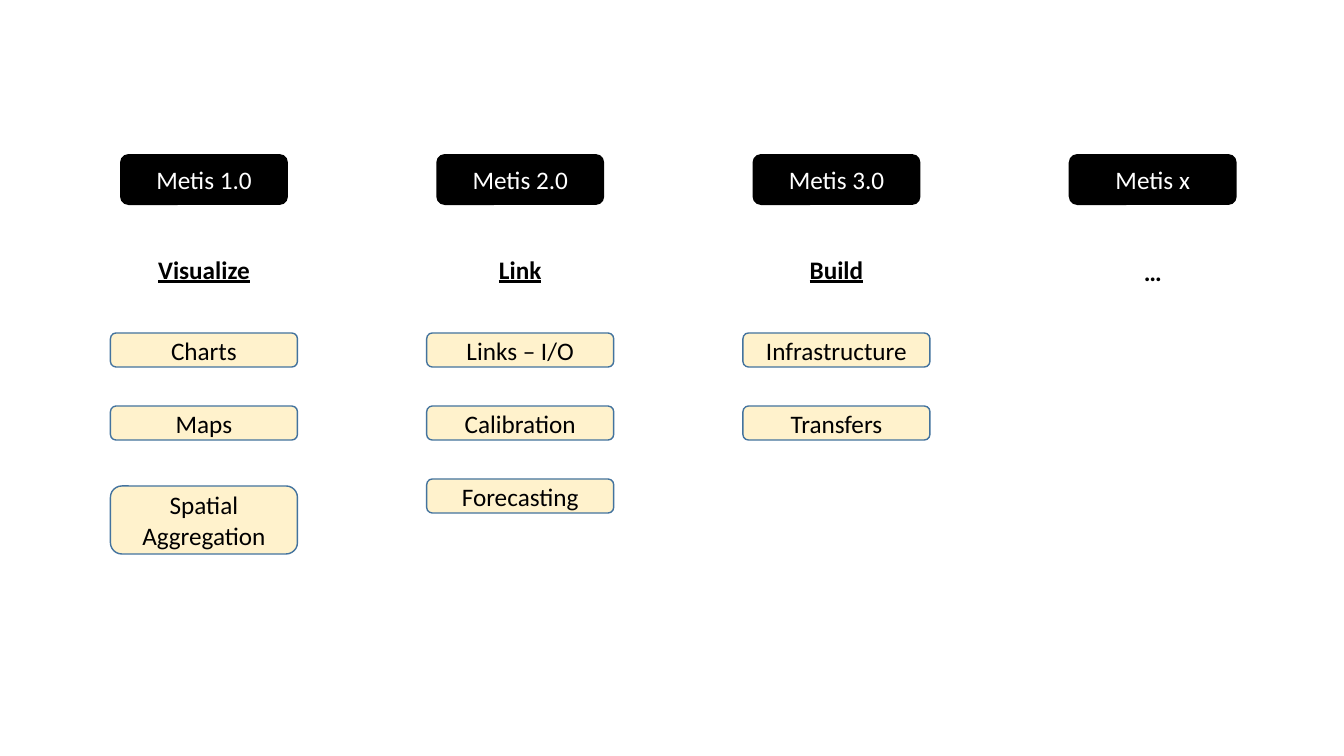
import pptx
import pptx.dml.color
import pptx.enum.shapes
import pptx.enum.text
import pptx.util

# version, heading, heading top, heading underlined, features
COLUMNS = [
    ("Metis 1.0", "Visualize", 255, True, ["Charts", "Maps", "Spatial Aggregation"]),
    ("Metis 2.0", "Link", 255, True, ["Links – I/O", "Calibration", "Forecasting"]),
    ("Metis 3.0", "Build", 255, True, ["Infrastructure", "Transfers"]),
    ("Metis x", "…", 257, False, []),
]
TWO_LINE_FEATURES = {"Spatial Aggregation"}

EMU_PER_PX = 914400 / 100.8
SLIDE_WIDTH, SLIDE_HEIGHT = 1344, 756
FIRST_CENTER, COLUMN_PITCH = 204, 316.25
VERSION_TOP, VERSION_WIDTH, VERSION_HEIGHT = 154, 168, 51
HEADING_WIDTH, HEADING_HEIGHT = 156, 28
FEATURE_TOP, FEATURE_PITCH = 333, 73
FEATURE_WIDTH, FEATURE_HEIGHT = 187, 34
TWO_LINE_DROP = 7


def px(length):
    return pptx.util.Emu(round(length * EMU_PER_PX))


def color(hex_string):
    return pptx.dml.color.RGBColor.from_string(hex_string)


def add_box(slide, text, center, top, width, height, text_color="000000",
            fill=None, line=None, bold=False, underline=False):
    """Add a rounded box centred on a column."""
    shape = slide.shapes.add_shape(
        pptx.enum.shapes.MSO_SHAPE.ROUNDED_RECTANGLE,
        px(center - width / 2), px(top), px(width), px(height))
    shape.shadow.inherit = False
    if fill:
        shape.fill.solid()
        shape.fill.fore_color.rgb = color(fill)
    else:
        shape.fill.background()
    if line:
        shape.line.color.rgb = color(line)
        shape.line.width = pptx.util.Pt(1)
    else:
        shape.line.fill.background()
    text_frame = shape.text_frame
    text_frame.text = text
    text_frame.word_wrap = True
    text_frame.vertical_anchor = pptx.enum.text.MSO_ANCHOR.MIDDLE
    paragraph = text_frame.paragraphs[0]
    paragraph.alignment = pptx.enum.text.PP_ALIGN.CENTER
    font = paragraph.runs[0].font
    font.name = "Calibri"
    font.size = pptx.util.Pt(18)
    font.bold = bold
    font.underline = underline
    font.color.rgb = color(text_color)


def main():
    presentation = pptx.Presentation()
    presentation.slide_width = px(SLIDE_WIDTH)
    presentation.slide_height = px(SLIDE_HEIGHT)
    slide = presentation.slides.add_slide(presentation.slide_layouts[6])

    for column, (version, heading, heading_top, underlined, features) in enumerate(COLUMNS):
        center = FIRST_CENTER + column * COLUMN_PITCH
        add_box(slide, version, center, VERSION_TOP, VERSION_WIDTH, VERSION_HEIGHT,
                text_color="FFFFFF", fill="000000")
        add_box(slide, heading, center, heading_top, HEADING_WIDTH, HEADING_HEIGHT,
                bold=True, underline=underlined)
        for row, feature in enumerate(features):
            top, height = FEATURE_TOP + row * FEATURE_PITCH, FEATURE_HEIGHT
            if feature in TWO_LINE_FEATURES:
                top, height = top + TWO_LINE_DROP, 2 * FEATURE_HEIGHT
            add_box(slide, feature, center, top, FEATURE_WIDTH, height,
                    fill="FFF2CC", line="43739E")

    presentation.save("out.pptx")


if __name__ == "__main__":
    main()
